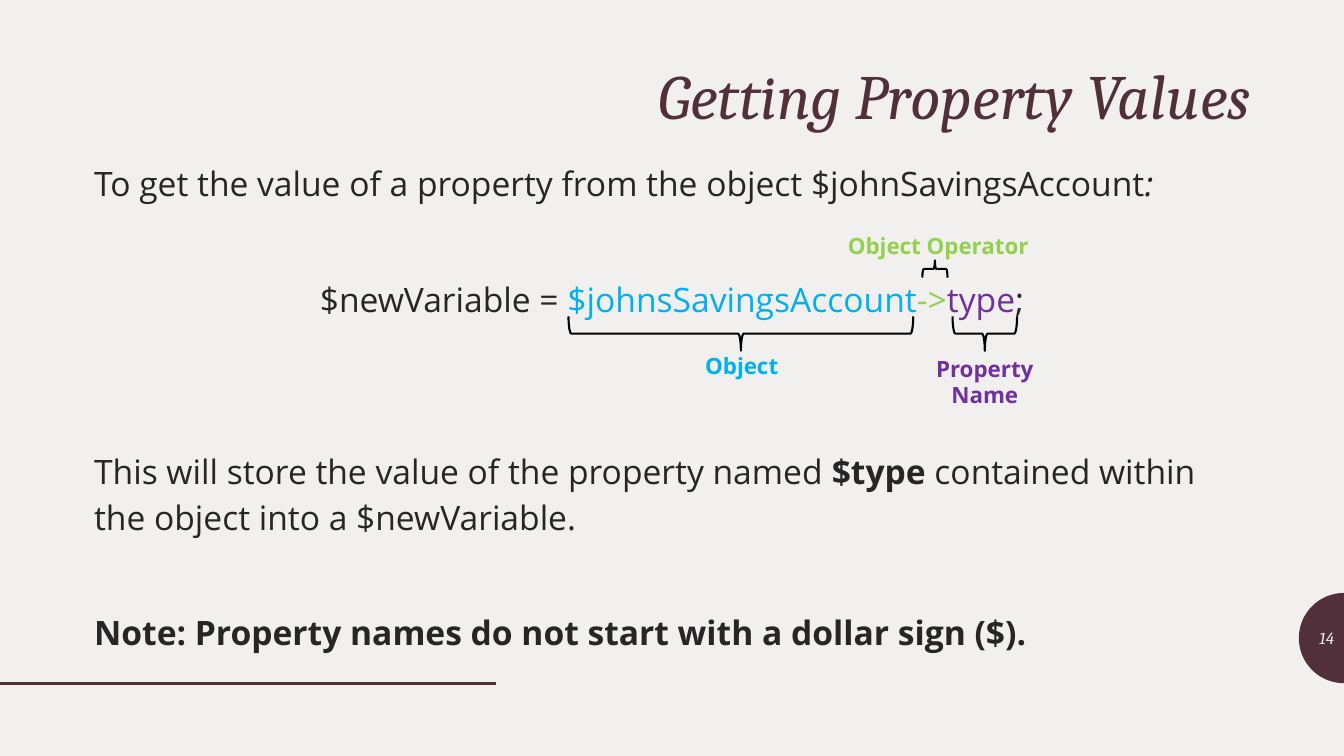
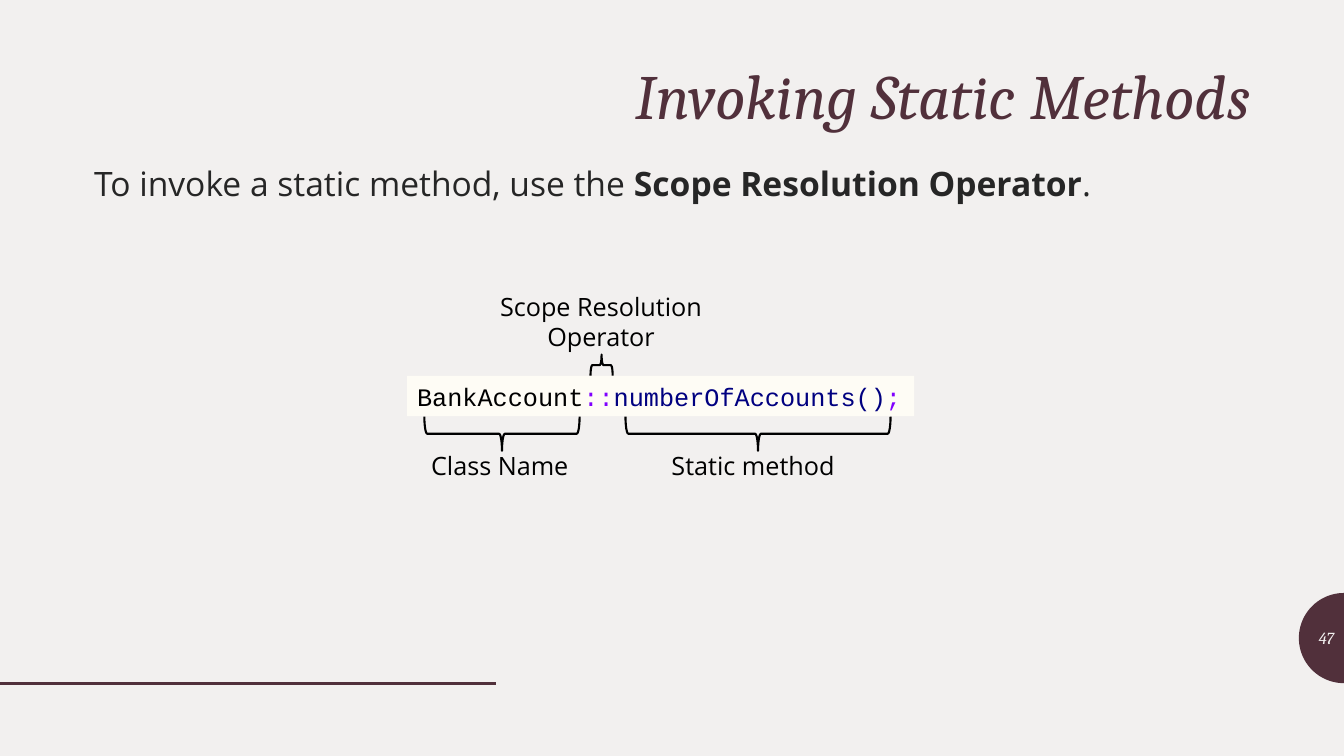
from dataclasses import dataclass
from math import cos, pi, sin

from lxml.etree import SubElement
from pptx import Presentation
from pptx.dml.color import RGBColor
from pptx.enum.shapes import MSO_CONNECTOR, MSO_SHAPE
from pptx.enum.text import MSO_ANCHOR, MSO_AUTO_SIZE, PP_ALIGN
from pptx.oxml.ns import qn
from pptx.util import Inches, Pt

COLUMNS, ROWS = 160, 90
UNIT = Inches(1) / 12


@dataclass(frozen=True)
class Theme:
    background: str = "F2F0EF"
    accent: str = "51303B"
    body: str = "262626"
    black: str = "000000"
    blue: str = "00B0F0"
    green: str = "92D050"
    purple: str = "7030A0"
    code_fill: str = "FEFCF5"
    code_symbol: str = "8000FF"
    code_name: str = "000080"
    heading_font: str = "Cambria"
    body_font: str = "Open Sans"
    code_font: str = "Courier New"
    title_size: float = 45
    body_size: float = 24
    label_size: float = 18
    small_label_size: float = 16
    number_size: float = 12
    body_spacing: float = 1.12
    paragraph_gap: float = 9
    row_pitch: float = 41.15


THEME = Theme()


@dataclass(frozen=True)
class Box:
    left: float
    top: float
    width: float
    height: float

    def lengths(self) -> tuple[int, ...]:
        return tuple(grid(value) for value in (self.left, self.top, self.width, self.height))


@dataclass(frozen=True)
class Style:
    font: str
    size: float
    color: str
    bold: bool = False
    italic: bool = False


@dataclass(frozen=True)
class Piece:
    text: str
    color: str = THEME.body
    bold: bool = False
    italic: bool = False


@dataclass(frozen=True)
class BodyLine:
    pieces: tuple[Piece, ...]
    skipped_rows: int = 0
    alignment: PP_ALIGN = PP_ALIGN.LEFT


@dataclass(frozen=True)
class Callout:
    brace: Box
    lines: tuple[str, ...]
    label_center: float
    label_top: float
    style: Style
    points_up: bool = False


@dataclass(frozen=True)
class Page:
    title: str
    number: str
    body: tuple[BodyLine, ...]
    callouts: tuple[Callout, ...]
    code: tuple[Piece, ...] = ()


TITLE_BOX = Box(10, 7.3, 140, 9.1)
BODY_BOX = Box(10, 18.24, 140, 61.7)
NUMBER_BOX = Box(154.65, 73.56, 5.35, 4.8)
CODE_BOX = Box(48.48, 44.76, 60.36, 4.8)
RULE_LENGTH, RULE_ROW = 59, 81.36
TAB_ROW, TAB_RADIUS, TAB_STEPS = 75.96, 5.37, 50
LABEL_WIDTH, LABEL_ROW_HEIGHT = 30, 4.4

TITLE_STYLE = Style(THEME.heading_font, THEME.title_size, THEME.accent, italic=True)
NUMBER_STYLE = Style(THEME.heading_font, THEME.number_size, THEME.background, italic=True)
PLAIN_LABEL = Style(THEME.body_font, THEME.label_size, THEME.black)


def small_label(color: str) -> Style:
    return Style(THEME.body_font, THEME.small_label_size, color, bold=True)


PAGES = (
    Page(
        "Getting Property Values",
        "14",
        (
            BodyLine((
                Piece("To get the value of a property from the object $johnSavingsAccount"),
                Piece(":", italic=True),
            )),
            BodyLine((
                Piece("$newVariable = "),
                Piece("$johnsSavingsAccount", THEME.blue),
                Piece("->", THEME.green),
                Piece("type", THEME.purple),
                Piece(";"),
            ), 1, PP_ALIGN.CENTER),
            BodyLine((
                Piece("This will store the value of the property named "),
                Piece("$type", bold=True),
                Piece(" contained within the object into a $newVariable."),
            ), 2),
            BodyLine((Piece("Note: Property names do not start with a dollar sign ($).", bold=True),), 1),
        ),
        (
            Callout(Box(67.68, 37.68, 41.04, 4.08), ("Object",), 88.3, 41.28, small_label(THEME.blue)),
            Callout(Box(113.4, 37.68, 7.68, 4.08), ("Property", "Name"), 117.24, 41.64,
                    small_label(THEME.purple)),
            Callout(Box(109.8, 31, 3, 2.04), ("Object Operator",), 111.7, 27,
                    small_label(THEME.green), True),
        ),
    ),
    Page(
        "Invoking Static Methods",
        "47",
        (
            BodyLine((
                Piece("To invoke a static method, use the "),
                Piece("Scope Resolution Operator", bold=True),
                Piece("."),
            )),
        ),
        (
            Callout(Box(50.52, 49.6, 18.48, 4.08), ("Class Name",), 59.5, 53.04, PLAIN_LABEL),
            Callout(Box(74.46, 49.6, 31.56, 4.08), ("Static method",), 89.65, 53.04, PLAIN_LABEL),
            Callout(Box(70.3, 42.2, 2.64, 2.52), ("Scope Resolution", "Operator"), 71.55, 34.08,
                    PLAIN_LABEL, True),
        ),
        (
            Piece("BankAccount", THEME.black),
            Piece("::", THEME.code_symbol),
            Piece("numberOfAccounts()", THEME.code_name),
            Piece(";", THEME.code_symbol),
        ),
    ),
)


def grid(value: float) -> int:
    return round(value * UNIT)


def color_of(value: str) -> RGBColor:
    return RGBColor.from_string(value)


def add_run(paragraph, text: str, style: Style) -> None:
    run = paragraph.add_run()
    run.text = text
    run.font.name = style.font
    run.font.size = Pt(style.size)
    run.font.bold = style.bold
    run.font.italic = style.italic
    run.font.color.rgb = color_of(style.color)


def add_pieces(paragraph, pieces: tuple[Piece, ...], font: str, size: float) -> None:
    for piece in pieces:
        add_run(paragraph, piece.text, Style(font, size, piece.color, piece.bold, piece.italic))


def add_lines(frame, lines: tuple[str, ...], style: Style, alignment: PP_ALIGN) -> None:
    for index, line in enumerate(lines):
        paragraph = frame.add_paragraph() if index else frame.paragraphs[0]
        paragraph.alignment = alignment
        add_run(paragraph, line, style)


def add_text(slide, box: Box, lines: tuple[str, ...], style: Style, alignment: PP_ALIGN,
             anchor: MSO_ANCHOR = MSO_ANCHOR.TOP) -> None:
    frame = slide.shapes.add_textbox(*box.lengths()).text_frame
    frame.word_wrap = True
    frame.vertical_anchor = anchor
    add_lines(frame, lines, style, alignment)


def add_callout(slide, callout: Callout) -> None:
    brace = callout.brace
    upright = Box(
        brace.left + (brace.width - brace.height) / 2,
        brace.top + (brace.height - brace.width) / 2,
        brace.height,
        brace.width,
    )
    shape = slide.shapes.add_shape(MSO_SHAPE.RIGHT_BRACE, *upright.lengths())
    shape.rotation = 270 if callout.points_up else 90
    shape.shadow.inherit = False
    shape.fill.background()
    shape.line.color.rgb = color_of(THEME.black)
    shape.line.width = Pt(1.5)
    label = Box(callout.label_center - LABEL_WIDTH / 2, callout.label_top,
                LABEL_WIDTH, LABEL_ROW_HEIGHT * len(callout.lines))
    add_text(slide, label, callout.lines, callout.style, PP_ALIGN.CENTER)


def add_code(slide, pieces: tuple[Piece, ...]) -> None:
    shape = slide.shapes.add_shape(MSO_SHAPE.RECTANGLE, *CODE_BOX.lengths())
    shape.shadow.inherit = False
    shape.fill.solid()
    shape.fill.fore_color.rgb = color_of(THEME.code_fill)
    shape.line.fill.background()
    paragraph = shape.text_frame.paragraphs[0]
    paragraph.alignment = PP_ALIGN.LEFT
    add_pieces(paragraph, pieces, THEME.code_font, THEME.label_size)


def fill_title(slide, title: str) -> None:
    frame = slide.shapes.title.text_frame
    frame.auto_size = MSO_AUTO_SIZE.NONE
    frame.vertical_anchor = MSO_ANCHOR.MIDDLE
    frame.paragraphs[0].line_spacing = 0.9
    add_lines(frame, (title,), TITLE_STYLE, PP_ALIGN.RIGHT)


def fill_body(slide, lines: tuple[BodyLine, ...]) -> None:
    frame = slide.placeholders[1].text_frame
    frame.auto_size = MSO_AUTO_SIZE.NONE
    for index, line in enumerate(lines):
        paragraph = frame.add_paragraph() if index else frame.paragraphs[0]
        paragraph.alignment = line.alignment
        paragraph.line_spacing = THEME.body_spacing
        paragraph.space_before = Pt(THEME.paragraph_gap + line.skipped_rows * THEME.row_pitch)
        properties = paragraph._p.get_or_add_pPr()
        properties.set("marL", "0")
        properties.set("indent", "0")
        SubElement(properties, qn("a:buNone"))
        add_pieces(paragraph, line.pieces, THEME.body_font, THEME.body_size)


def design_layout(layout) -> None:
    layout.background.fill.solid()
    layout.background.fill.fore_color.rgb = color_of(THEME.background)
    for placeholder, box in zip(layout.placeholders, (TITLE_BOX, BODY_BOX)):
        placeholder.left, placeholder.top, placeholder.width, placeholder.height = box.lengths()


def move_decor_to_layout(slide) -> None:
    angles = [pi / 2 + pi * step / TAB_STEPS for step in range(TAB_STEPS + 1)]
    points = [(grid(COLUMNS + TAB_RADIUS * cos(angle)), grid(TAB_ROW + TAB_RADIUS * sin(angle)))
              for angle in angles]
    builder = slide.shapes.build_freeform(*points[0])
    builder.add_line_segments(points[1:], close=True)
    tab = builder.convert_to_shape()
    tab.shadow.inherit = False
    tab.fill.solid()
    tab.fill.fore_color.rgb = color_of(THEME.accent)
    tab.line.fill.background()
    rule = slide.shapes.add_connector(MSO_CONNECTOR.STRAIGHT, 0, grid(RULE_ROW),
                                      grid(RULE_LENGTH), grid(RULE_ROW))
    rule.line.color.rgb = color_of(THEME.accent)
    rule.line.width = Pt(2)
    SubElement(rule.element.spPr, qn("a:effectLst"))
    for identifier, shape in enumerate((tab, rule), 101):
        shape.element.xpath(".//p:cNvPr")[0].set("id", str(identifier))
        slide.slide_layout.shapes.element.append(shape.element)


def main() -> None:
    presentation = Presentation()
    presentation.slide_width = grid(COLUMNS)
    presentation.slide_height = grid(ROWS)
    layout = presentation.slide_layouts[1]
    design_layout(layout)
    for index, page in enumerate(PAGES):
        slide = presentation.slides.add_slide(layout)
        if index == 0:
            move_decor_to_layout(slide)
        fill_title(slide, page.title)
        fill_body(slide, page.body)
        add_text(slide, NUMBER_BOX, (page.number,), NUMBER_STYLE, PP_ALIGN.RIGHT, MSO_ANCHOR.MIDDLE)
        if page.code:
            add_code(slide, page.code)
        for callout in page.callouts:
            add_callout(slide, callout)
    presentation.save("out.pptx")


if __name__ == "__main__":
    main()
